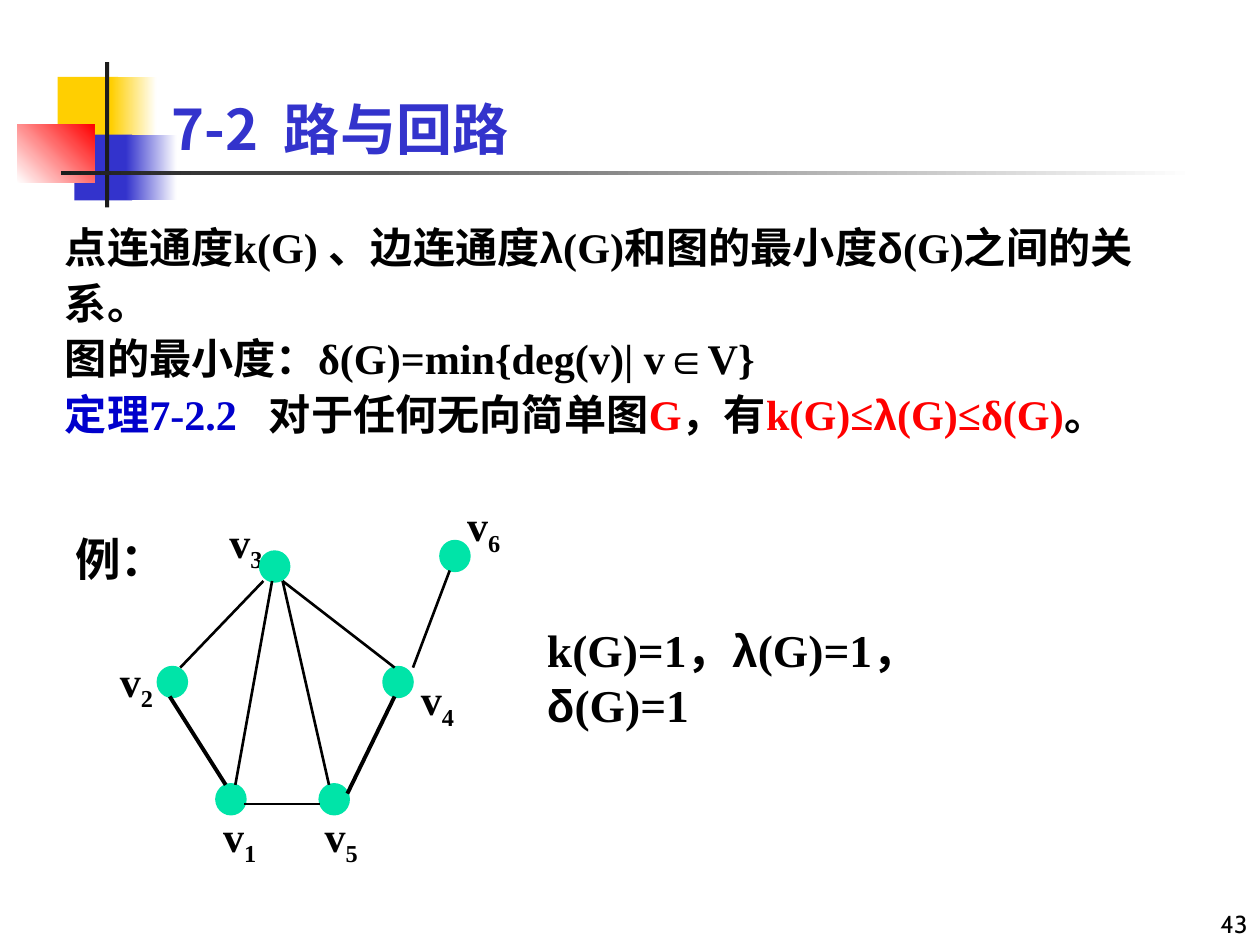
from lxml.etree import SubElement
from pptx import Presentation
from pptx.dml.color import RGBColor
from pptx.enum.shapes import MSO_CONNECTOR as Line, MSO_SHAPE as Shape
from pptx.enum.text import MSO_ANCHOR as Anchor, PP_ALIGN as Align
from pptx.oxml.ns import qn
from pptx.util import Pt

COLORS = {key: RGBColor.from_string(value) for key, value in {
    "yellow": "FFCF01", "blue": "3333CC", "red": "FF0000", "white": "FFFFFF",
    "dark": "1C1C1C", "black": "000000", "theorem": "0000CC", "vertex": "00E4A8",
}.items()}

deck = Presentation()
deck.slide_width, deck.slide_height = Pt(720), Pt(540)
page = deck.slides.add_slide(deck.slide_layouts[6])


def add_text(bounds, paragraphs, size=24, font="Times New Roman", color="black",
             bold=True, align=Align.LEFT, anchor=Anchor.TOP, spacing=None):
    """Each paragraph is a list of (text, overrides) pairs; overrides may hold font, color, sub."""
    box = page.shapes.add_textbox(*map(Pt, bounds))
    frame = box.text_frame
    frame.word_wrap = True
    frame.vertical_anchor = anchor
    for index, spans in enumerate(paragraphs):
        para = frame.paragraphs[0] if index == 0 else frame.add_paragraph()
        para.alignment = align
        if spacing:
            para.line_spacing = spacing
        for text, override in spans:
            span = para.add_run()
            span.text = text
            span.font.size = Pt(size)
            span.font.bold = bold
            span.font.name = override.get("font", font)
            span.font.color.rgb = COLORS[override.get("color", color)]
            if override.get("sub"):
                span.font._element.set("baseline", "-25000")


def add_block(kind, bounds, start, end=None, angle=0, outline=None):
    """A filled shape; with an end colour the fill is a gradient."""
    block = page.shapes.add_shape(kind, *map(Pt, bounds))
    block.shadow.inherit = False
    if end:
        block.fill.gradient()
        block.fill.gradient_angle = angle
        for stop, position, color in zip(block.fill.gradient_stops, (0, 1), (start, end)):
            stop.position = position
            stop.color.rgb = COLORS[color]
    else:
        block.fill.solid()
        block.fill.fore_color.rgb = COLORS[start]
    if outline:
        block.line.color.rgb = COLORS[start]
        block.line.width = Pt(outline)
    else:
        block.line.fill.background()


# Corner ornament and title rule
for bounds, start, end, angle in [
    ((33, 44, 34.5, 37.5), "yellow", None, 0),
    ((63.5, 44, 26, 37.5), "yellow", "white", 0),
    ((42.5, 77, 33, 37.5), "blue", None, 0),
    ((72, 77, 29, 37.5), "blue", "white", 0),
    ((10, 71, 44, 33.5), "white", "red", 45),
    ((60, 35.5, 2.4, 83), "dark", None, 0),
    ((35, 98, 648, 2.2), "dark", "white", 0),
]:
    add_block(Shape.RECTANGLE, bounds, start, end, angle)

add_text((570, 504, 150, 36), [[("43", {})]], size=14, font="Cabin", bold=False,
         align=Align.RIGHT, anchor=Anchor.BOTTOM)
add_text((91, 6, 613, 90), [[("7-2  路与回路", {})]], size=32, font="Noto Sans CJK SC",
         color="blue", anchor=Anchor.BOTTOM)

plain, symbol = {}, {"font": "Arial"}
red = {"color": "red"}
add_text((30, 120, 648, 174), [
    [("点连通度k(G) 、边连通度", plain), ("λ", symbol), ("(G)和图的最小度", plain),
     ("δ", symbol), ("(G)之间的关系。", plain)],
    [("图的最小度：δ(G)=min{deg(v)| v", plain), ("∈", symbol), ("V}", plain)],
    [("定理7-2.2   ", {"color": "theorem"}), ("对于任何无向简单图", plain), ("G", red),
     ("，有", plain), ("k(G)≤", red), ("λ", symbol | red), ("(G)≤δ(G)", red), ("。", plain)],
], size=24.1, spacing=1.1)

# Example graph: vertex number, dot corner, label corner
vertices = [
    ("3", (149, 315.5), (122.5, 291.5)),
    ("2", (90.5, 381.5), (60, 371)),
    ("1", (124, 448.5), (119, 459.5)),
    ("6", (252, 309.5), (258.5, 282)),
    ("4", (219.5, 381.5), (232, 381.5)),
    ("5", (183, 448.5), (177, 459.5)),
]
for number, dot, label in vertices:
    add_text((*label, 36, 40), [[("v", plain), (number, {"sub": True})]], align=Align.CENTER)
    add_block(Shape.OVAL, (*dot, 16, 16.5), "vertex", outline=2)

thin, thick = 1.5, 2.25
edges = [
    (150.5, 332, 103, 381.5, thin),     # v3 - v2
    (97, 398, 129, 448.5, thick),       # v2 - v1
    (139.5, 459.5, 183, 459.5, thin),   # v1 - v5
    (198.5, 453.5, 225.5, 398, thick),  # v5 - v4
    (236, 381.5, 257, 326, thin),       # v4 - v6
    (161.5, 332, 225.5, 381.5, thin),   # v3 - v4
    (155.5, 332, 134.5, 448.5, thin),   # v3 - v1
    (161.5, 332, 188, 448.5, thin),     # v3 - v5
]
for *ends, width in edges:
    edge = page.shapes.add_connector(Line.STRAIGHT, *map(Pt, ends))
    edge.line.color.rgb = COLORS["black"]
    edge.line.width = Pt(width)
    SubElement(edge._element.spPr, qn("a:effectLst"))

add_text((36, 300, 84, 39), [[("例：", plain)]], size=26, font="Cabin")
add_text((305.5, 352, 260, 72), [[
    ("k(G)=1，", plain), ("λ", symbol), ("(G)=1，", plain), ("δ", symbol), ("(G)=1", plain),
]], size=26)

deck.save("out.pptx")
